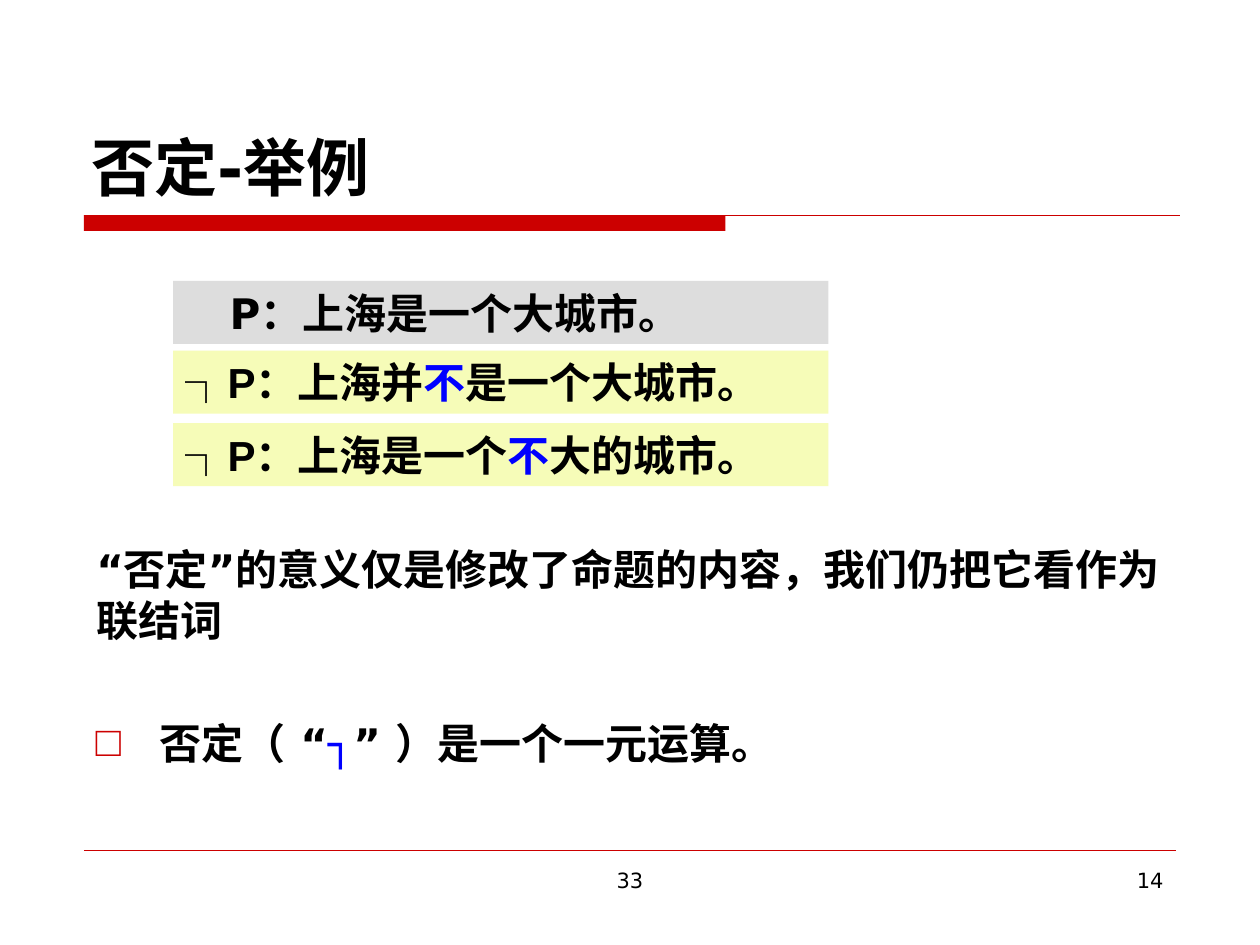
from lxml import etree
from pptx import Presentation, util as u
from pptx.dml.color import RGBColor
from pptx.enum import shapes, text
from pptx.oxml import ns

COLORS = {"black": "000000", "red": "CC0000", "blue": "0000FF",
          "grey": "DDDDDD", "yellow": "F6FCB8"}
SANS, ARIAL, CJK = "DejaVu Sans", "Arial", "Noto Sans CJK SC"
COLUMNS, ROWS = 120, 90
LEFT, CENTER, RIGHT = text.PP_ALIGN.LEFT, text.PP_ALIGN.CENTER, text.PP_ALIGN.RIGHT

TITLE = [("否定-举例", SANS, "black")]
EXAMPLES = [
    (26.75, "grey", 0.35, [("P：上海是一个大城市。", SANS, "black")]),
    (33.4, "yellow", 0, [("┐", CJK, "black"), ("P：上海并", ARIAL, "black"),
                         ("不", ARIAL, "blue"), ("是一个大城市。", ARIAL, "black")]),
    (40.3, "yellow", 0, [("┐", CJK, "black"), ("P：上海是一个", ARIAL, "black"),
                         ("不", ARIAL, "blue"), ("大的城市。", ARIAL, "black")]),
]
REMARK = [("“否定”的意义仅是修改了命题的内容，我们仍把它看作为联结词", ARIAL, "black")]
BULLET = [("否定（ ", SANS, "black"), ("“", ARIAL, "black"), ("┐", SANS, "blue"),
          ("”", ARIAL, "black"), (" ）是一个一元运算。", SANS, "black")]
FOOTERS = [("33", (41, 82, 38, 6.2), CENTER), ("14", (86, 82, 26, 6.2), RIGHT)]
RULES = [(20.5, 112.4, 0.75), (81, 112, 0.25)]

deck = Presentation()
deck.slide_width, deck.slide_height = u.Inches(10), u.Inches(7.5)
page = deck.slides.add_slide(deck.slide_layouts[1])


def color(name):
    return RGBColor.from_string(COLORS[name])


def grid(left, top, width, height):
    across, down = deck.slide_width / COLUMNS, deck.slide_height / ROWS
    return [int(v) for v in (left * across, top * down, width * across, height * down)]


def move(shape, cells):
    shape.left, shape.top, shape.width, shape.height = grid(*cells)


def write(box, spans, size=24, bold=True, align=LEFT, anchor=text.MSO_ANCHOR.TOP,
          indent=0, bullet=None):
    frame = box.text_frame
    inset_x, inset_y = u.Inches(0.1), u.Inches(0.05)
    settings = {"word_wrap": True, "auto_size": text.MSO_AUTO_SIZE.NONE,
                "vertical_anchor": anchor, "margin_left": inset_x, "margin_right": inset_x,
                "margin_top": inset_y, "margin_bottom": inset_y}
    for name, value in settings.items():
        setattr(frame, name, value)
    para = frame.paragraphs[0]
    para.alignment, para.space_before = align, u.Pt(0)
    props = para._p.get_or_add_pPr()
    props.set("marL", str(u.Inches(indent)))
    props.set("indent", str(-u.Inches(indent) if bullet else 0))
    if bullet:
        tint = etree.SubElement(props, ns.qn("a:buClr"))
        etree.SubElement(tint, ns.qn("a:srgbClr"), val=COLORS["red"])
        etree.SubElement(props, ns.qn("a:buChar"), char=bullet)
    for words, font, tone in spans:
        span = para.add_run()
        span.text = words
        for name, value in {"name": font, "size": u.Pt(size), "bold": bold}.items():
            setattr(span.font, name, value)
        span.font.color.rgb = color(tone)
        latin = span._r.get_or_add_rPr().find(ns.qn("a:latin"))
        latin.addnext(etree.Element(ns.qn("a:ea"), typeface=SANS))


def block(cells, tone):
    shape = page.shapes.add_shape(shapes.MSO_SHAPE.RECTANGLE, *grid(*cells))
    shape.shadow.inherit = False
    shape.fill.solid()
    shape.fill.fore_color.rgb = color(tone)
    shape.line.fill.background()
    return shape


block((8, 20.5, 61.1, 1.5), "red")
for row, end, weight in RULES:
    x, y, width, _ = grid(8, row, end - 8, 0)
    rule = page.shapes.add_connector(shapes.MSO_CONNECTOR.STRAIGHT, x, y, x + width, y)
    rule.line.color.rgb, rule.line.width = color("red"), u.Pt(weight)
    etree.SubElement(rule._element.spPr, ns.qn("a:effectLst"))

title, body = page.shapes.title, page.placeholders[1]
move(title, (7.5, 4, 105, 16))
write(title, TITLE, size=36, anchor=text.MSO_ANCHOR.BOTTOM)
move(body, (7.9, 67.7, 105, 5.6))
write(body, BULLET, indent=0.51, bullet="□")

for row, tone, indent, spans in EXAMPLES:
    write(block((16.5, row, 62.4, 6), tone), spans, indent=indent)

write(page.shapes.add_textbox(*grid(8, 51.2, 105.8, 10.8)), REMARK)
for number, cells, align in FOOTERS:
    write(page.shapes.add_textbox(*grid(*cells)), [(number, SANS, "black")],
          size=12, bold=False, align=align)

deck.save("out.pptx")
